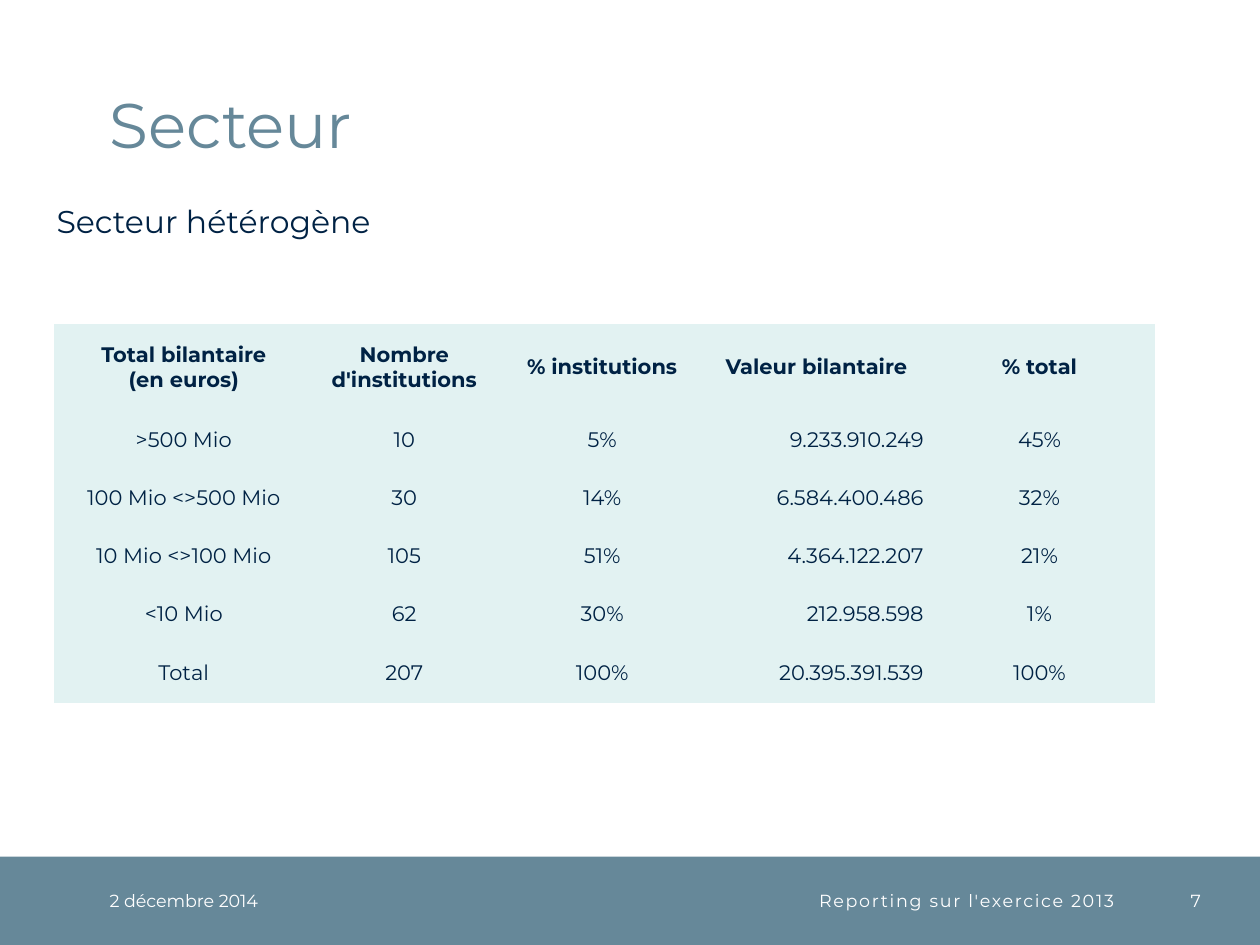
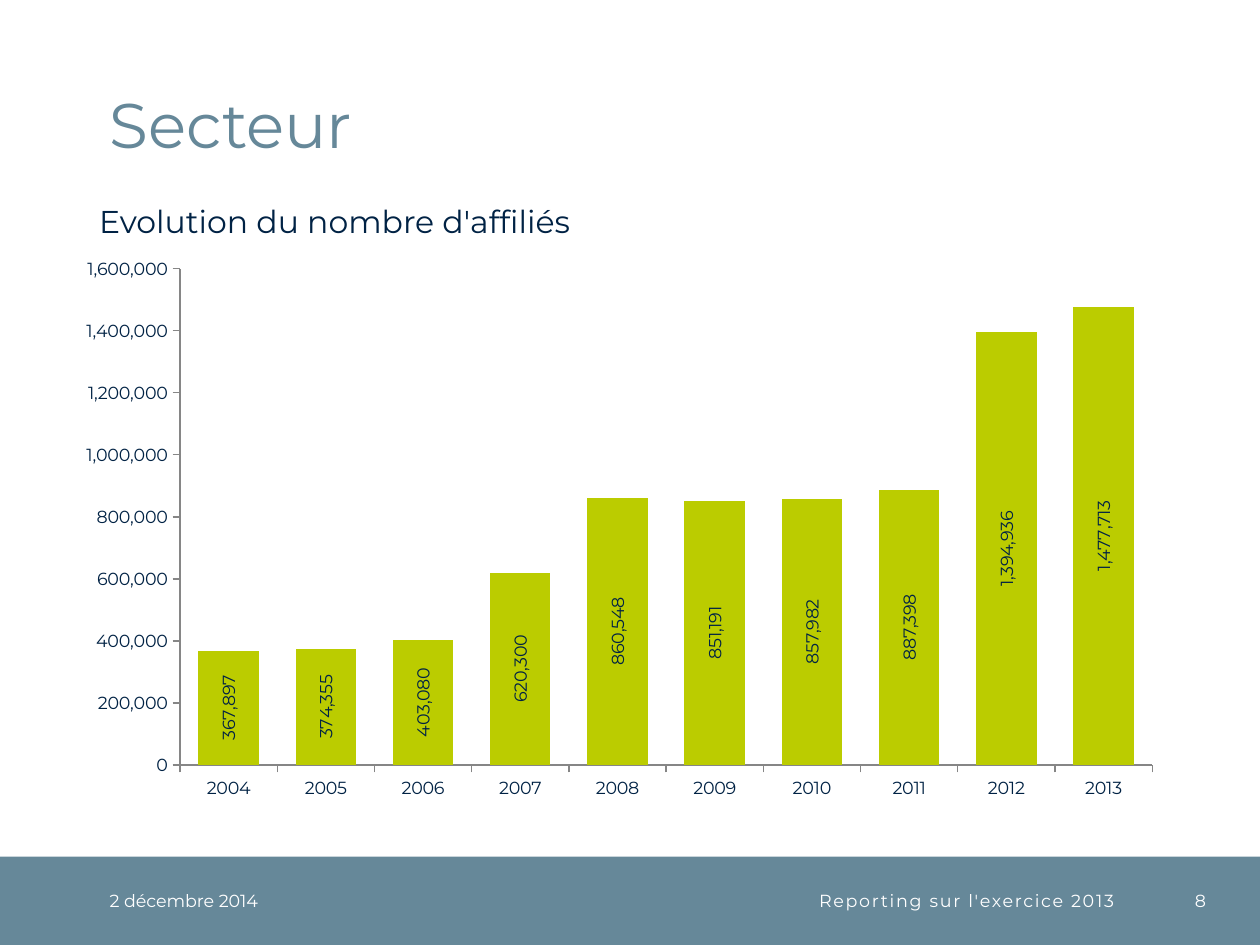
from lxml import etree
from pptx import Presentation
from pptx.chart.data import CategoryChartData
from pptx.dml.color import RGBColor
from pptx.enum.chart import XL_CHART_TYPE, XL_LABEL_POSITION, XL_TICK_MARK
from pptx.enum.shapes import MSO_SHAPE
from pptx.enum.text import MSO_ANCHOR, PP_ALIGN
from pptx.oxml.ns import qn
from pptx.util import Cm, Pt

LEFT, CENTER, RIGHT = PP_ALIGN.LEFT, PP_ALIGN.CENTER, PP_ALIGN.RIGHT
TOP, MIDDLE, BOTTOM = MSO_ANCHOR.TOP, MSO_ANCHOR.MIDDLE, MSO_ANCHOR.BOTTOM
COLUMN_STACKED = XL_CHART_TYPE.COLUMN_STACKED
LABEL_CENTER = XL_LABEL_POSITION.CENTER
TICK_OUTSIDE, TICK_NONE = XL_TICK_MARK.OUTSIDE, XL_TICK_MARK.NONE

FONT = "Montserrat"
SLATE, NAVY, WHITE = "668899", "002244", "FFFFFF"
LIME, PALE, GREY = "BBCC00", "E2F2F2", "868686"
BAND_TOP, BAND_HEIGHT = 17.27, 1.78


def rgb(value):
    return RGBColor.from_string(value)


def add_text(s, box, text, size, color, align=LEFT, anchor=MIDDLE, inset=(0, 0)):
    tf = s.shapes.add_textbox(*[Cm(v) for v in box]).text_frame
    side, edge = Cm(inset[0]), Cm(inset[1])
    frame = {"word_wrap": True, "vertical_anchor": anchor, "margin_left": side,
             "margin_right": side, "margin_top": edge, "margin_bottom": edge}
    for key, value in frame.items():
        setattr(tf, key, value)
    p = tf.paragraphs[0]
    p.alignment = align
    r = p.add_run()
    r.text = text
    for key, value in {"name": FONT, "size": Pt(size)}.items():
        setattr(r.font, key, value)
    r.font.color.rgb = rgb(color)
    return p


prs = Presentation()
prs.slide_width, prs.slide_height = Cm(25.4), Cm(19.05)

pages = [
    ("7", 24.21, "Secteur hétérogène", 0.89),
    ("8", 24.31, "Evolution du nombre d'affiliés", 1.75),
]
for number, number_right, subtitle, subtitle_left in pages:
    s = prs.slides.add_slide(prs.slide_layouts[6])
    band = s.shapes.add_shape(MSO_SHAPE.RECTANGLE, 0, Cm(BAND_TOP), Cm(25.4), Cm(BAND_HEIGHT))
    band.shadow.inherit = False
    band.fill.solid()
    band.fill.fore_color.rgb = rgb(SLATE)
    band.line.fill.background()

    p = add_text(s, (2.21, 0.51, 21.92, 2.74), "Secteur", 36, SLATE, anchor=BOTTOM)
    p.line_spacing = Pt(32)
    add_text(s, (subtitle_left, 3.94, 22.81, 1.02), subtitle, 18, NAVY,
             anchor=TOP, inset=(0.25, 0.13))

    add_text(s, (2.21, BAND_TOP, 4.5, BAND_HEIGHT), "2 décembre 2014", 10, WHITE)
    p = add_text(s, (6.71, BAND_TOP, 15.75, BAND_HEIGHT),
                 "Reporting sur l'exercice 2013", 10, WHITE, RIGHT)
    p.runs[0]._r.get_or_add_rPr().set("spc", "100")
    add_text(s, (number_right - 1.25, BAND_TOP, 1.25, BAND_HEIGHT), number, 10, WHITE, RIGHT)

sector_slide, members_slide = prs.slides

rows = [
    ("Total bilantaire\n(en euros)", "Nombre d'institutions", "% institutions",
     "Valeur bilantaire", "% total"),
    (">500 Mio", "10", "5%", "9.233.910.249", "45%"),
    ("100 Mio <>500 Mio", "30", "14%", "6.584.400.486", "32%"),
    ("10 Mio <>100 Mio", "105", "51%", "4.364.122.207", "21%"),
    ("<10 Mio", "62", "30%", "212.958.598", "1%"),
    ("Total", "207", "100%", "20.395.391.539", "100%"),
]
col_widths = [5.23, 3.66, 4.32, 4.32, 4.67]
row_heights = [1.75, 1.17, 1.17, 1.17, 1.17, 1.22]
VALUE_COL = 3
table = sector_slide.shapes.add_table(
    len(rows), len(col_widths), Cm(1.09), Cm(6.53),
    Cm(sum(col_widths)), Cm(sum(row_heights))).table
table.first_row = table.horz_banding = False
for col, width in zip(table.columns, col_widths):
    col.width = Cm(width)
for row, height in zip(table.rows, row_heights):
    row.height = Cm(height)

cell_format = {"vertical_anchor": MIDDLE, "margin_left": 0, "margin_right": 0,
               "margin_top": 0, "margin_bottom": 0}
for i, row in enumerate(rows):
    for j, text in enumerate(row):
        cell = table.cell(i, j)
        cell.text = text
        for key, value in cell_format.items():
            setattr(cell, key, value)
        cell.fill.solid()
        cell.fill.fore_color.rgb = rgb(PALE)
        for p in cell.text_frame.paragraphs:
            p.alignment = RIGHT if i > 0 and j == VALUE_COL else CENTER
            font = p.runs[0].font
            for key, value in {"name": FONT, "size": Pt(12), "bold": i == 0}.items():
                setattr(font, key, value)
            font.color.rgb = rgb(NAVY)
        borders = cell._tc.get_or_add_tcPr()
        for k, tag in enumerate(("a:lnL", "a:lnR", "a:lnT", "a:lnB")):
            ln = etree.Element(qn(tag), w="0")
            etree.SubElement(ln, qn("a:noFill"))
            borders.insert(k, ln)

data = CategoryChartData(number_format="#,##0")
data.categories = [str(year) for year in range(2004, 2014)]
data.add_series("Series 1", (367897, 374355, 403080, 620300, 860548,
                             851191, 857982, 887398, 1394936, 1477713))
chart = members_slide.shapes.add_chart(
    COLUMN_STACKED, Cm(1.3), Cm(5), Cm(22.4), Cm(11.33), data).chart
chart.has_legend = chart.has_title = False
for key, value in {"name": FONT, "size": Pt(10)}.items():
    setattr(chart.font, key, value)
chart.font.color.rgb = rgb(NAVY)

plot = chart.plots[0]
for key, value in {"gap_width": 61, "overlap": 100, "vary_by_categories": False,
                   "has_data_labels": True}.items():
    setattr(plot, key, value)
fill = plot.series[0].format.fill
fill.solid()
fill.fore_color.rgb = rgb(LIME)

labels = plot.data_labels
for key, value in {"show_value": True, "position": LABEL_CENTER,
                   "number_format": "#,##0", "number_format_is_linked": False}.items():
    setattr(labels, key, value)
for key, value in {"name": FONT, "size": Pt(10)}.items():
    setattr(labels.font, key, value)
labels.font.color.rgb = rgb(NAVY)
body = labels._element.find(qn("c:txPr")).find(qn("a:bodyPr"))
body.set("rot", "-5400000")
body.set("vert", "horz")

for axis in (chart.category_axis, chart.value_axis):
    for key, value in {"has_major_gridlines": False, "major_tick_mark": TICK_OUTSIDE,
                       "minor_tick_mark": TICK_NONE}.items():
        setattr(axis, key, value)
    axis.format.line.color.rgb = rgb(GREY)
    axis.format.line.width = Pt(0.75)
for key, value in {"minimum_scale": 0, "maximum_scale": 1600000, "major_unit": 200000}.items():
    setattr(chart.value_axis, key, value)
chart.value_axis.tick_labels.number_format = "#,##0"
chart.value_axis.tick_labels.number_format_is_linked = False

plot_area = chart._chartSpace.chart.plotArea
for layout in plot_area.findall(qn("c:layout")):
    plot_area.remove(layout)
layout = etree.Element(qn("c:layout"))
plot_area.insert(0, layout)
manual = etree.SubElement(layout, qn("c:manualLayout"))
for tag, value in (("layoutTarget", "inner"), ("xMode", "edge"), ("yMode", "edge"),
                   ("x", "0.104"), ("y", "0.037"), ("w", "0.875"), ("h", "0.883")):
    etree.SubElement(manual, qn("c:" + tag), val=value)

prs.save("out.pptx")
